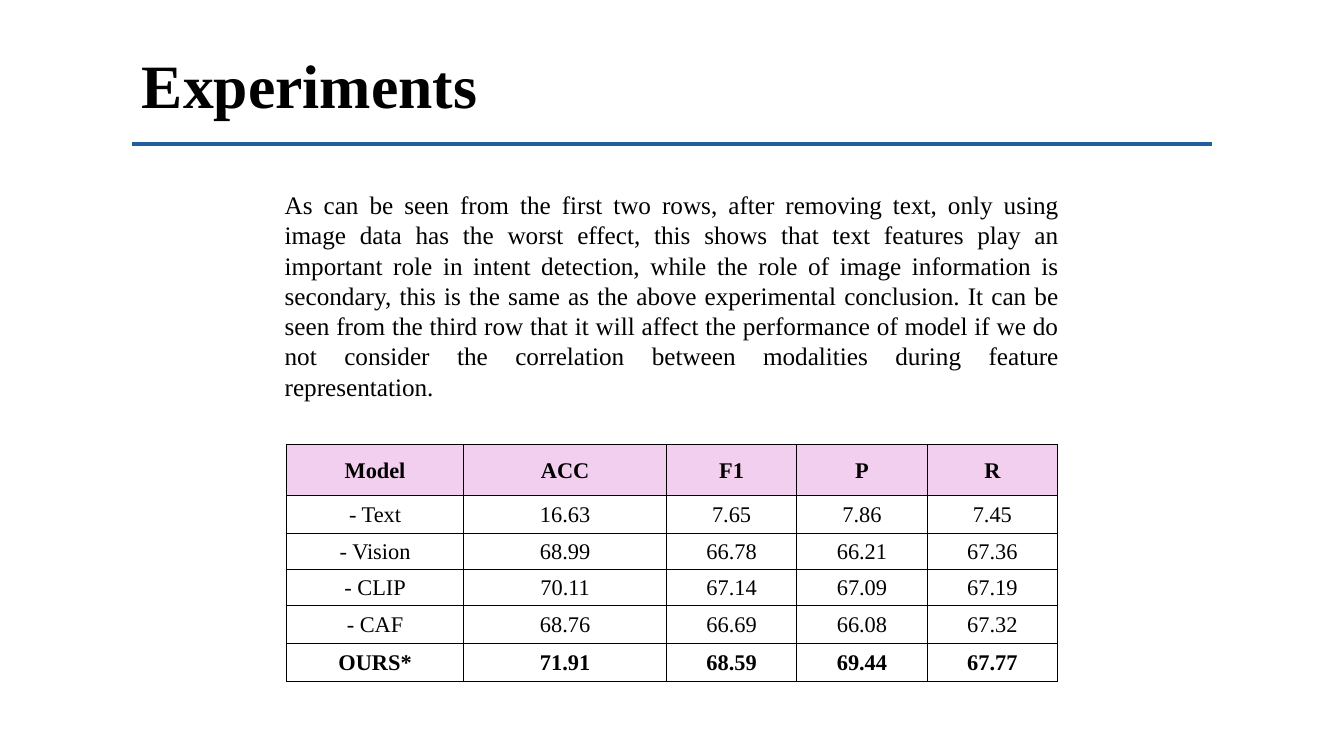
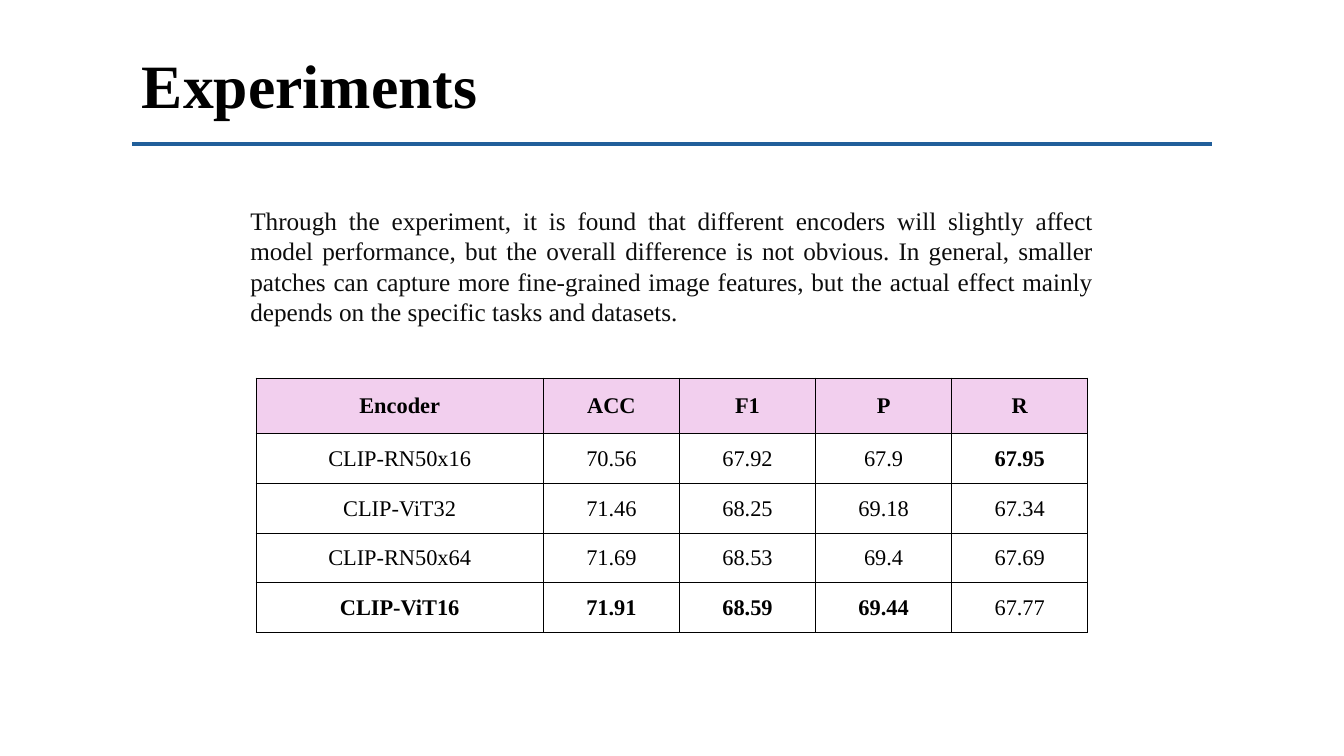
from pptx import Presentation
from pptx.dml.color import RGBColor
from pptx.enum.shapes import MSO_CONNECTOR
from pptx.enum.text import MSO_ANCHOR, MSO_AUTO_SIZE, PP_ALIGN
from pptx.oxml.ns import qn
from pptx.util import Inches, Pt
from lxml import etree

STRAIGHT = MSO_CONNECTOR.STRAIGHT
MIDDLE = MSO_ANCHOR.MIDDLE
GROW = MSO_AUTO_SIZE.SHAPE_TO_FIT_TEXT
LEFT, CENTER, JUSTIFY = PP_ALIGN.LEFT, PP_ALIGN.CENTER, PP_ALIGN.JUSTIFY

SLIDE_WIDTH, SLIDE_HEIGHT = Inches(13.33), Inches(7.5)
MARGIN = 9.83
BORDER = Pt(0.75)
COLORS = {
    "text": "000000",
    "soft": "0D0D0D",
    "rule": "215F9A",
    "header": "F2CFEE",
    "border": "000000",
}
FONT = "Times New Roman"
TITLE = {"name": FONT, "size": Pt(44), "bold": True}
BODY = {"name": FONT, "size": Pt(18), "bold": False}
CELL = {"name": FONT, "size": Pt(16), "bold": False}
CELL_BOX = {
    "margin_left": Inches(0.01),
    "margin_right": Inches(0.01),
    "margin_top": Inches(0.01),
    "margin_bottom": 0,
    "vertical_anchor": MIDDLE,
}
METRICS = ["ACC", "F1", "P", "R"]

ABLATION = {
    "text": "As can be seen from the first two rows, after removing text, only using "
            "image data has the worst effect, this shows that text features play an "
            "important role in intent detection, while the role of image information is "
            "secondary, this is the same as the above experimental conclusion. It can be "
            "seen from the third row that it will affect the performance of model if we do "
            "not consider the correlation between modalities during feature representation.",
    "color": "text",
    "text_area": (24.4, 59.11, 29.6),
    "table_top": 58.8,
    "columns": [13.2, 15.08] + [9.7] * 3,
    "heights": [6.8, 4.93, 4.8, 4.8, 4.93, 5.07],
    "rows": [
        ["Model", *METRICS],
        ["- Text", "16.63", "7.65", "7.86", "7.45"],
        ["- Vision", "68.99", "66.78", "66.21", "67.36"],
        ["- CLIP", "70.11", "67.14", "67.09", "67.19"],
        ["- CAF", "68.76", "66.69", "66.08", "67.32"],
        ["OURS*", "71.91", "68.59", "69.44", "67.77"],
    ],
}
ENCODERS = {
    "text": "Through the experiment, it is found that different encoders will slightly "
            "affect model performance, but the overall difference is not obvious. In "
            "general, smaller patches can capture more fine-grained image features, but "
            "the actual effect mainly depends on the specific tasks and datasets.",
    "color": "soft",
    "text_area": (26.53, 64.22, 17.47),
    "table_top": 50,
    "columns": [21.38] + [10.13] * 4,
    "heights": [7.33, 6.67, 6.53, 6.53, 6.67],
    "rows": [
        ["Encoder", *METRICS],
        ["CLIP-RN50x16", "70.56", "67.92", "67.9", "67.95"],
        ["CLIP-ViT32", "71.46", "68.25", "69.18", "67.34"],
        ["CLIP-RN50x64", "71.69", "68.53", "69.4", "67.69"],
        ["CLIP-ViT16", "71.91", "68.59", "69.44", "67.77"],
    ],
}


def across(percent):
    """Turn a percentage of the slide width into a length."""
    return round(SLIDE_WIDTH * percent / 100)


def down(percent):
    """Turn a percentage of the slide height into a length."""
    return round(SLIDE_HEIGHT * percent / 100)


def centered(width):
    """Give the left edge, in percent, of something centred on the slide."""
    return (100 - width) / 2


def apply_format(target, values):
    """Set every attribute named in a dict of format values."""
    for name, value in values.items():
        setattr(target, name, value)


def write(frame, text, style, color, align):
    """Put one formatted paragraph into a text frame."""
    para = frame.paragraphs[0]
    para.alignment = align
    span = para.add_run()
    span.text = text
    apply_format(span.font, style)
    span.font.color.rgb = RGBColor.from_string(COLORS[color])


def add_text(page, area, text, style, color, align):
    """Add a wrapping text box; the area is given in percent."""
    left, top, width, height = area
    box = page.shapes.add_textbox(across(left), down(top), across(width), down(height))
    apply_format(box.text_frame, {"word_wrap": True, "auto_size": GROW})
    write(box.text_frame, text, style, color, align)


def add_heading(page, text):
    """Add the shared title and the rule beneath it."""
    add_text(page, (MARGIN, 5.6, 33.9, 11.2), text, TITLE, "text", LEFT)
    height = down(19.07)
    rule = page.shapes.add_connector(
        STRAIGHT, across(MARGIN), height, across(100 - MARGIN), height)
    rule.line.width = Pt(3)
    rule.line.color.rgb = RGBColor.from_string(COLORS["rule"])
    etree.SubElement(rule._element.spPr, qn("a:effectLst"))


def add_borders(cell):
    """Draw a thin line on all four sides of a cell."""
    properties = cell._tc.get_or_add_tcPr()
    for side in ("a:lnL", "a:lnR", "a:lnT", "a:lnB"):
        line = etree.SubElement(properties, qn(side), w=str(BORDER))
        fill = etree.SubElement(line, qn("a:solidFill"))
        etree.SubElement(fill, qn("a:srgbClr"), val=COLORS["border"])


def fill_cell(cell, text, is_header, is_bold):
    """Format one table cell and write its text."""
    apply_format(cell, CELL_BOX)
    add_borders(cell)
    if is_header:
        cell.fill.solid()
        cell.fill.fore_color.rgb = RGBColor.from_string(COLORS["header"])
    else:
        cell.fill.background()
    write(cell.text_frame, text, {**CELL, "bold": is_bold}, "text", CENTER)


def add_results(page, top, columns, heights, rows):
    """Add a centred table with the header, own model and best scores in bold."""
    width = sum(columns)
    table = page.shapes.add_table(
        len(rows), len(columns), across(centered(width)), down(top),
        across(width), down(sum(heights))).table
    apply_format(table, {"first_row": False, "horz_banding": False})
    for column, share in zip(table.columns, columns):
        column.width = across(share)
    for row, share in zip(table.rows, heights):
        row.height = down(share)
    best = [rows[-1][0]]
    best += [max(scores[1:], key=float) for scores in list(zip(*rows))[1:]]
    for row_number, values in enumerate(rows):
        is_header = row_number == 0
        for column_number, text in enumerate(values):
            is_bold = is_header or text == best[column_number]
            fill_cell(table.cell(row_number, column_number), text, is_header, is_bold)


def add_experiment(deck, content):
    """Add one slide with a heading, a paragraph and a table of results."""
    page = deck.slides.add_slide(deck.slide_layouts[6])
    add_heading(page, "Experiments")
    top, width, height = content["text_area"]
    add_text(page, (centered(width), top, width, height),
             content["text"], BODY, content["color"], JUSTIFY)
    add_results(page, content["table_top"], content["columns"],
                content["heights"], content["rows"])


def main():
    """Build the deck and save it."""
    deck = Presentation()
    apply_format(deck, {"slide_width": SLIDE_WIDTH, "slide_height": SLIDE_HEIGHT})
    for content in (ABLATION, ENCODERS):
        add_experiment(deck, content)
    deck.save("out.pptx")


if __name__ == "__main__":
    main()
